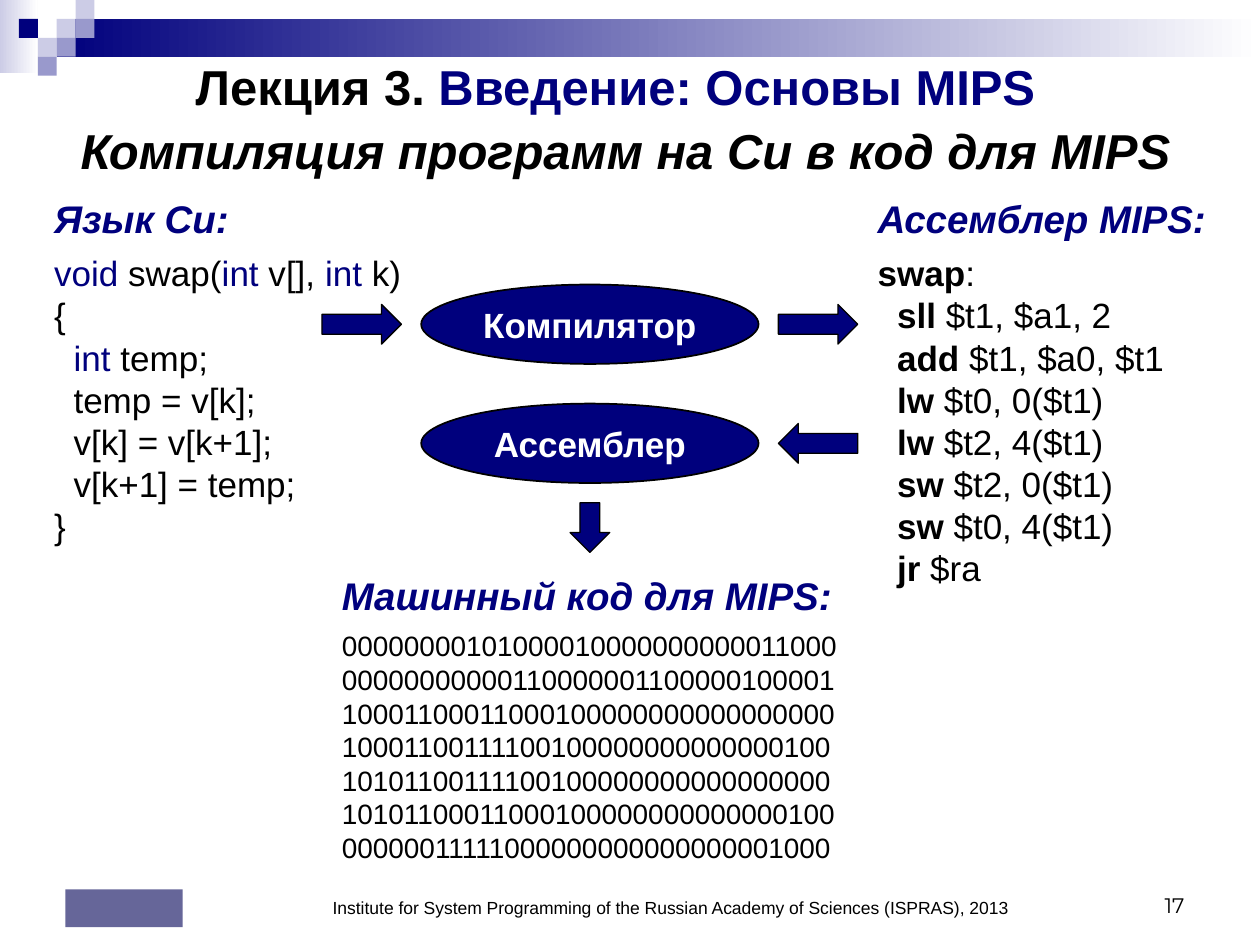
from dataclasses import dataclass

from pptx import Presentation
from pptx.dml.color import RGBColor
from pptx.enum.shapes import MSO_SHAPE as Preset
from pptx.enum.text import MSO_ANCHOR as Anchor, MSO_AUTO_SIZE as AutoSize, PP_ALIGN as Align
from pptx.util import Inches, Mm, Pt


@dataclass(frozen=True)
class Theme:
    font: str = "Arial"
    number_font: str = "Montserrat"
    navy: str = "00007D"
    lilac: str = "9999CC"
    pale: str = "CCCCE6"
    slate: str = "666699"
    black: str = "000000"
    white: str = "FFFFFF"
    title: int = 28
    heading: int = 22
    code: int = 20
    binary: int = 16
    number: int = 12
    footer: int = 10


@dataclass(frozen=True)
class Grid:
    left: int
    top: int
    step: int

    def box(self, col: float, row: float, cols: float, rows: float) -> tuple[int, ...]:
        return (round(self.left + col * self.step), round(self.top + row * self.step),
                round(cols * self.step), round(rows * self.step))


@dataclass(frozen=True)
class Panel:
    """Heading above lines of code; text between bars is highlighted."""
    place: tuple[float, float, float, float]
    heading: str
    lines: str
    size: int
    accent: str
    bold_accent: bool = False


@dataclass(frozen=True)
class Stage:
    name: str
    row: float


@dataclass(frozen=True)
class Arrow:
    place: tuple[float, float, float, float]
    turn: int = 0


THEME = Theme()
WIDTH, HEIGHT = Inches(10), Inches(7.5)
MOSAIC = Grid(0, 0, Inches(0.15))
DIAGRAM = Grid(Inches(0.43), Inches(1.55), Mm(4))

BANDS = [((0, 0, 2, 3.87), THEME.pale), ((3, 1, 63.67, 2), THEME.navy)]
TILES = [(3, 1, THEME.pale), (4, 0, THEME.pale), (4, 1, THEME.lilac), (2, 2, THEME.pale),
         (1, 1, THEME.navy), (3, 2, THEME.lilac), (2, 3, THEME.lilac)]

C_CODE = """|void| swap(|int| v[], |int| k)
{
  |int| temp;
  temp = v[k];
  v[k] = v[k+1];
  v[k+1] = temp;
}"""
MIPS_CODE = """|swap|:
  |sll| $t1, $a1, 2
  |add| $t1, $a0, $t1
  |lw| $t0, 0($t1)
  |lw| $t2, 4($t1)
  |sw| $t2, 0($t1)
  |sw| $t0, 4($t1)
  |jr| $ra"""
MACHINE_CODE = """00000000101000010000000000011000
00000000000110000001100000100001
10001100011000100000000000000000
10001100111100100000000000000100
10101100111100100000000000000000
10101100011000100000000000000100
00000011111000000000000000001000"""

PANELS = [
    Panel((0, 0, 18, 18), "Язык Си:", C_CODE, THEME.code, THEME.navy),
    Panel((41.5, 0, 16, 20), "Ассемблер MIPS:", MIPS_CODE, THEME.code, THEME.black, True),
    Panel((14.5, 19, 26, 15), "Машинный код для MIPS:", MACHINE_CODE, THEME.binary, THEME.black),
]
STAGES = [Stage("Компилятор", 4.5), Stage("Ассемблер", 10.5)]
ARROWS = [
    Arrow((13.5, 5.5, 4, 2)),
    Arrow((36.5, 5.5, 4, 2)),
    Arrow((36.5, 11.5, 4, 2), 180),
    Arrow((25.75, 15.75, 2.5, 2), 90),
]


def rgb(colour: str) -> RGBColor:
    return RGBColor.from_string(colour)


def share(left: float, top: float, width: float, height: float) -> tuple[int, ...]:
    """Turn percentages of the slide into lengths."""
    return tuple(round(part * whole / 100) for part, whole in
                 zip((left, top, width, height), (WIDTH, HEIGHT) * 2))


def style(font, size: int, colour: str, bold=False, italic=False, name=THEME.font) -> None:
    font.name, font.size, font.bold, font.italic = name, Pt(size), bold, italic
    font.color.rgb = rgb(colour)


def add_marked(paragraph, text: str, accent: str, bold: bool | None = None) -> None:
    """Write text as runs, highlighting what stands between bars."""
    for index, piece in enumerate(text.split("|")):
        if piece:
            run = paragraph.add_run()
            run.text = piece
            if index % 2:
                run.font.color.rgb = rgb(accent)
                run.font.bold = bold


def add_solid(slide, preset, box, colour: str, outline: float = 0):
    shape = slide.shapes.add_shape(preset, *box)
    shape.shadow.inherit = False
    shape.fill.solid()
    shape.fill.fore_color.rgb = rgb(colour)
    if outline:
        shape.line.color.rgb = rgb(THEME.black)
        shape.line.width = Pt(outline)
    else:
        shape.line.fill.background()
    return shape


def add_band(slide, box, colour: str) -> None:
    """Bar fading from a colour on the left to white."""
    fill = add_solid(slide, Preset.RECTANGLE, box, colour).fill
    fill.gradient()
    fill.gradient_angle = 0
    for stop, shade in zip(fill.gradient_stops, (colour, THEME.white)):
        stop.color.rgb = rgb(shade)


def add_label(slide, box, text: str, align, anchor=Anchor.TOP):
    frame = slide.shapes.add_textbox(*box).text_frame
    frame.word_wrap = True
    frame.vertical_anchor = anchor
    paragraph = frame.paragraphs[0]
    paragraph.text, paragraph.alignment = text, align
    return paragraph


def add_panel(slide, panel: Panel) -> None:
    frame = add_solid(slide, Preset.RECTANGLE, DIAGRAM.box(*panel.place), THEME.white).text_frame
    frame.word_wrap = False
    frame.vertical_anchor = Anchor.TOP
    frame.margin_left = frame.margin_top = frame.margin_right = frame.margin_bottom = 0
    heading = frame.paragraphs[0]
    heading.text, heading.alignment, heading.space_after = panel.heading, Align.LEFT, Pt(6)
    style(heading.font, THEME.heading, THEME.navy, bold=True, italic=True)
    for line in panel.lines.splitlines():
        paragraph = frame.add_paragraph()
        paragraph.alignment = Align.LEFT
        style(paragraph.font, panel.size, THEME.black)
        add_marked(paragraph, line, panel.accent, panel.bold_accent)


def add_stage(slide, stage: Stage) -> None:
    ellipse = add_solid(slide, Preset.OVAL, DIAGRAM.box(18.5, stage.row, 17, 4), THEME.navy, 1)
    paragraph = ellipse.text_frame.paragraphs[0]
    paragraph.text, paragraph.alignment = stage.name, Align.CENTER
    style(paragraph.font, THEME.code, THEME.white, bold=True)


def add_arrow(slide, arrow: Arrow) -> None:
    shape = add_solid(slide, Preset.RIGHT_ARROW, DIAGRAM.box(*arrow.place), THEME.navy, 0.75)
    shape.rotation = arrow.turn


def set_title(slide, text: str) -> None:
    title = slide.shapes.title
    title.left, title.top, title.width, title.height = share(2.7, 1.73, 92.3, 14.67)
    frame = title.text_frame
    frame.auto_size, frame.vertical_anchor = AutoSize.NONE, Anchor.MIDDLE
    paragraph = frame.paragraphs[0]
    paragraph.alignment = Align.CENTER
    style(paragraph.font, THEME.title, THEME.black, bold=True)
    add_marked(paragraph, text, THEME.navy)


def main() -> None:
    deck = Presentation()
    deck.slide_width, deck.slide_height = WIDTH, HEIGHT
    slide = deck.slides.add_slide(deck.slide_layouts.get_by_name("Title Only"))

    for place, colour in BANDS:
        add_band(slide, MOSAIC.box(*place), colour)
    for col, row, colour in TILES:
        add_solid(slide, Preset.RECTANGLE, MOSAIC.box(col, row, 1, 1), colour)
    add_solid(slide, Preset.RECTANGLE, share(5.2, 94.13, 9.3, 4), THEME.slate)

    set_title(slide, "Лекция 3. |Введение: Основы MIPS|")
    subtitle = add_label(slide, share(4.3, 12.13, 90.7, 8.4),
                         "Компиляция программ на Си в код для MIPS", Align.CENTER)
    style(subtitle.font, THEME.title, THEME.black, bold=True, italic=True)

    for panel in PANELS:
        add_panel(slide, panel)
    for stage in STAGES:
        add_stage(slide, stage)
    for arrow in ARROWS:
        add_arrow(slide, arrow)

    footer = add_label(
        slide, share(20.9, 91.07, 64.6, 6.67),
        "Institute for System Programming of the Russian Academy of Sciences (ISPRAS), 2013",
        Align.CENTER, Anchor.BOTTOM)
    footer.line_spacing = 0.8
    style(footer.font, THEME.footer, THEME.black)
    number = add_label(slide, share(83.1, 91.07, 11.9, 6.67), "17", Align.RIGHT, Anchor.BOTTOM)
    style(number.font, THEME.number, THEME.black, name=THEME.number_font)
    deck.save("out.pptx")


if __name__ == "__main__":
    main()
